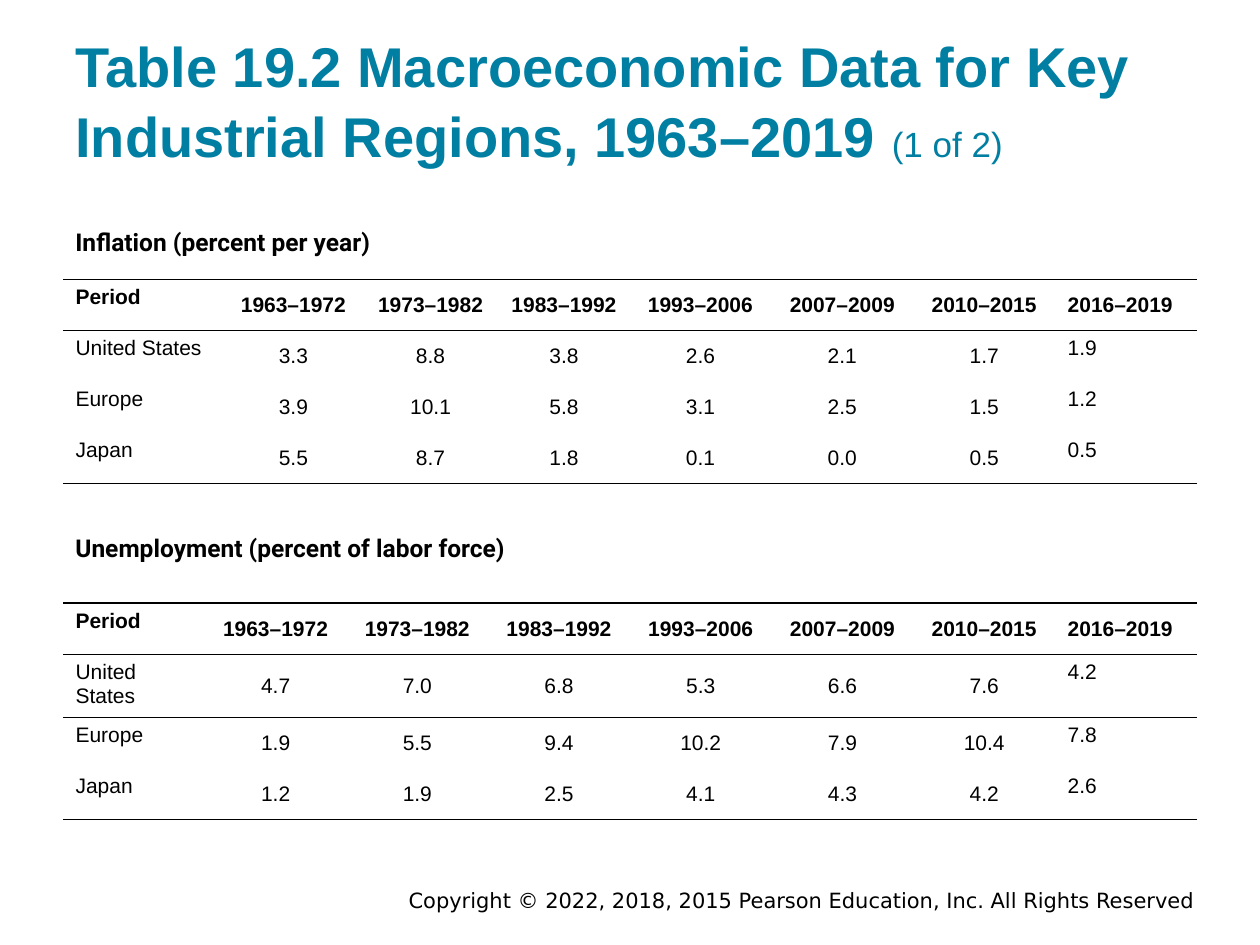
"""Build a slide with two tables of macroeconomic data for key industrial regions."""
from lxml.etree import SubElement
from pptx import Presentation
from pptx.dml.color import RGBColor
from pptx.enum.text import MSO_ANCHOR as Anchor, PP_ALIGN as Align
from pptx.oxml.ns import qn
from pptx.util import Cm, Pt

BLACK, TEAL = "000000", "007FA3"
LEFT, WIDTH, ROW_HEIGHT = 1.27, 22.86, 1.03
PERIODS = ["1963–1972", "1973–1982", "1983–1992", "1993–2006",
           "2007–2009", "2010–2015", "2016–2019"]
HEADER = ["Period"] + PERIODS

TITLE_STYLE = {"name": "Arial", "size": Pt(32), "bold": True}
COUNT_STYLE = {"name": "Arial", "size": Pt(20), "bold": False}
HEADING_STYLE = {"name": "Roboto", "size": Pt(14), "bold": True}
FOOTER_STYLE = {"name": "DejaVu Sans", "size": Pt(12)}
HEADER_STYLE = {"name": "Arial", "size": Pt(12), "bold": True}
BODY_STYLE = {"name": "Arial", "size": Pt(12), "bold": False}

TITLE = [
    ("Table 19.2 Macroeconomic Data for Key Industrial Regions, 1963–2019 ", TITLE_STYLE),
    ("(1 of 2)", COUNT_STYLE),
]
FOOTER = "Copyright © 2022, 2018, 2015 Pearson Education, Inc. All Rights Reserved"
SECTIONS = [
    {
        "heading": "Inflation (percent per year)",
        "heading_at": (LEFT, 4.32, 6.93, 0.99),
        "top": 5.63,
        "columns": [3.25, 2.79, 2.74, 2.64] + [2.86] * 4,
        "heights": [ROW_HEIGHT] * 4,
        "rules": {0, 1, 4},
        "rows": [
            ["United States", "3.3", "8.8", "3.8", "2.6", "2.1", "1.7", "1.9"],
            ["Europe", "3.9", "10.1", "5.8", "3.1", "2.5", "1.5", "1.2"],
            ["Japan", "5.5", "8.7", "1.8", "0.1", "0.0", "0.5", "0.5"],
        ],
    },
    {
        "heading": "Unemployment (percent of labor force)",
        "heading_at": (LEFT, 10.49, 11.15, 0.97),
        "top": 12.16,
        "columns": [WIDTH / 8] * 8,
        "heights": [ROW_HEIGHT, 1.2, ROW_HEIGHT, ROW_HEIGHT],
        "rules": {0, 1, 2, 4},
        "rows": [
            ["United States", "4.7", "7.0", "6.8", "5.3", "6.6", "7.6", "4.2"],
            ["Europe", "1.9", "5.5", "9.4", "10.2", "7.9", "10.4", "7.8"],
            ["Japan", "1.2", "1.9", "2.5", "4.1", "4.3", "4.2", "2.6"],
        ],
    },
]


def apply(target, values):
    for name, value in values.items():
        setattr(target, name, value)


def add_span(para, text, style, color):
    span = para.add_run()
    span.text = text
    apply(span.font, style)
    span.font.color.rgb = RGBColor.from_string(color)


def add_text(page, at, spans, color=BLACK, inset=0.25, anchor=Anchor.TOP, **para_format):
    box = page.shapes.add_textbox(*map(Cm, at))
    frame = box.text_frame
    apply(frame, {"word_wrap": True, "vertical_anchor": anchor,
                  "margin_top": Cm(inset), "margin_bottom": Cm(inset)})
    para = frame.paragraphs[0]
    apply(para, para_format)
    for text, style in spans:
        add_span(para, text, style, color)


def add_border(cell, side, visible):
    line = SubElement(cell._tc.get_or_add_tcPr(), qn(f"a:ln{side}"), w=str(Pt(1)))
    if visible:
        fill = SubElement(line, qn("a:solidFill"))
        SubElement(fill, qn("a:srgbClr"), val=BLACK)
    else:
        SubElement(line, qn("a:noFill"))


def fill_cell(cell, text, row, column, rules):
    last = len(PERIODS)
    centred = 0 < column < last
    middle = centred or (row == 0 and column == last)
    cell.vertical_anchor = Anchor.MIDDLE if middle else Anchor.TOP
    para = cell.text_frame.paragraphs[0]
    para.alignment = Align.CENTER if centred else Align.LEFT
    add_span(para, text, BODY_STYLE if row else HEADER_STYLE, BLACK)
    borders = {"L": False, "R": False, "T": row in rules, "B": row + 1 in rules}
    for side, visible in borders.items():
        add_border(cell, side, visible)
    cell.fill.background()


def add_section(page, section):
    add_text(page, section["heading_at"], [(section["heading"], HEADING_STYLE)])
    rows = [HEADER] + section["rows"]
    heights = section["heights"]
    table = page.shapes.add_table(
        len(rows), len(HEADER), Cm(LEFT), Cm(section["top"]), Cm(WIDTH), Cm(sum(heights))
    ).table
    apply(table, {"first_row": False, "horz_banding": False})
    for column, width in zip(table.columns, section["columns"]):
        column.width = Cm(width)
    for row, (values, height) in enumerate(zip(rows, heights)):
        table.rows[row].height = Cm(height)
        for column, text in enumerate(values):
            fill_cell(table.cell(row, column), text, row, column, section["rules"])


def main():
    deck = Presentation()
    apply(deck, {"slide_width": Cm(25.4), "slide_height": Cm(19.05)})
    page = deck.slides.add_slide(deck.slide_layouts[6])
    add_text(page, (LEFT, 0.61, WIDTH, 3.05), TITLE, TEAL,
             anchor=Anchor.BOTTOM, line_spacing=1.05)
    for section in SECTIONS:
        add_section(page, section)
    add_text(page, (4.45, 17.86, 19.89, 0.56), [(FOOTER, FOOTER_STYLE)],
             inset=0.13, anchor=Anchor.MIDDLE, alignment=Align.RIGHT)
    deck.save("out.pptx")


if __name__ == "__main__":
    main()
